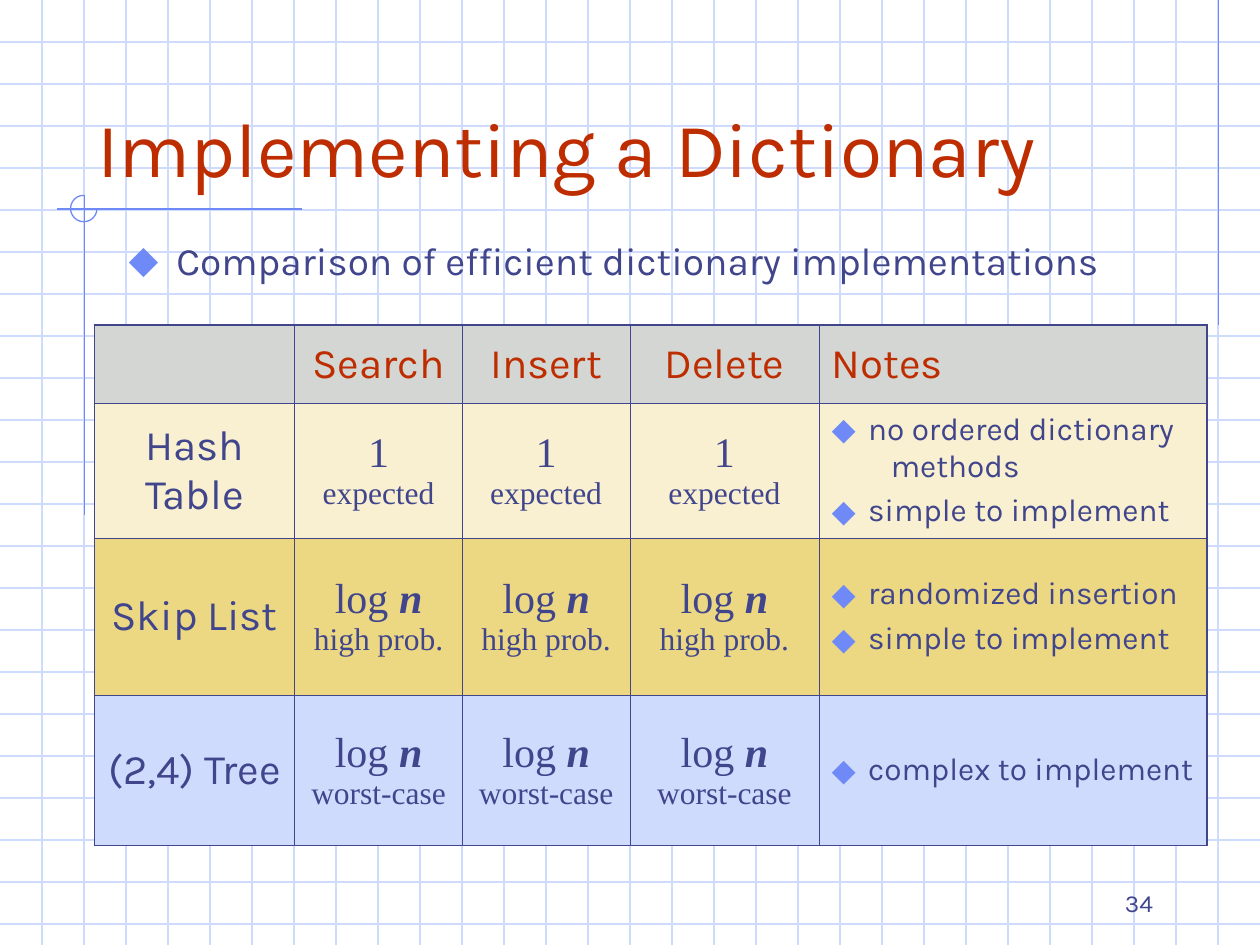
from dataclasses import dataclass

from lxml.etree import SubElement
from pptx import Presentation
from pptx.dml.color import RGBColor
from pptx.enum.shapes import MSO_CONNECTOR, MSO_SHAPE
from pptx.enum.text import MSO_ANCHOR, MSO_AUTO_SIZE, PP_ALIGN
from pptx.oxml.ns import qn
from pptx.util import Inches, Pt


@dataclass(frozen=True)
class Theme:
    sans: str = "Karla"
    serif: str = "Times New Roman"
    bullet: str = "Arial"
    red: str = "BE2D00"
    navy: str = "40458C"
    blue: str = "6F89F7"
    grid: str = "CFDBFD"
    header: str = "D4D6D4"
    title: float = 44
    body: float = 22.2
    cell: float = 24
    note: float = 18
    number: float = 14
    hairline: float = 0.75
    inner: float = 0.45
    outer: float = 1.08


T = Theme()

TITLE = "Implementing a Dictionary"
BODY = "Comparison of efficient dictionary implementations"
NUMBER = "34"
HEADERS = ["", "Search", "Insert", "Delete", "Notes"]
# Each note is a list of its lines; cost is (upright, bold italic, remark).
ROWS = [
    {"name": "Hash Table", "fill": "F8F0D0", "cost": ("1", "", "expected"),
     "notes": [["no ordered dictionary", "methods"], ["simple to implement"]]},
    {"name": "Skip List", "fill": "ECD882", "cost": ("log ", "n", "high prob."),
     "notes": [["randomized insertion"], ["simple to implement"]]},
    {"name": "(2,4) Tree", "fill": "CFDBFD", "cost": ("log ", "n", "worst-case"),
     "notes": [["complex to implement"]]},
]
COL_WIDTHS = [1.59, 1.33, 1.33, 1.5, 3.08]
ROW_HEIGHTS = [0.62, 1.07, 1.25, 1.19]
TABLE_AT = (0.75, 2.58)
WIDTH, HEIGHT = 10, 7.5
GRID_STEP = 1 / 3
# Accent lines: x1, y1, x2, y2
ACCENTS = [(9.67, 0, 9.67, 2.58), (2.4, 1.66, 0.45, 1.66), (0.67, 1.55, 0.67, 4.09)]


def style(run, size, color=T.navy, font=T.sans):
    run.font.size = Pt(size)
    run.font.name = font
    run.font.color.rgb = RGBColor.from_string(color)


def add_line(shapes, ends, color):
    line = shapes.add_connector(MSO_CONNECTOR.STRAIGHT, *map(Inches, ends))
    line.line.color.rgb = RGBColor.from_string(color)
    line.line.width = Pt(T.hairline)
    SubElement(line._element.spPr, qn("a:effectLst"))


def add_bullet(p, indent):
    pPr = p._p.get_or_add_pPr()
    pPr.set("marL", str(Inches(indent)))
    pPr.set("indent", str(-Inches(indent)))
    color = SubElement(pPr, qn("a:buClr"))
    SubElement(color, qn("a:srgbClr"), val=T.blue)
    SubElement(pPr, qn("a:buSzPct"), val="110000")
    SubElement(pPr, qn("a:buFont"), typeface=T.bullet)
    SubElement(pPr, qn("a:buChar"), char="⬥")


def format_cell(cell, fill, widths):
    """Set the fill and the left, right, top and bottom border widths."""
    tcPr = cell._tc.get_or_add_tcPr()
    for side, width in zip("LRTB", widths):
        ln = SubElement(tcPr, qn(f"a:ln{side}"), w=str(Pt(width)))
        SubElement(SubElement(ln, qn("a:solidFill")), qn("a:srgbClr"), val=T.navy)
    cell.fill.solid()
    cell.fill.fore_color.rgb = RGBColor.from_string(fill)
    cell.vertical_anchor = MSO_ANCHOR.MIDDLE


def write_label(cell, text, color, align=PP_ALIGN.CENTER):
    if not text:
        return
    p = cell.text_frame.paragraphs[0]
    p.text = text
    p.alignment = align
    style(p.runs[0], T.cell, color)


def write_cost(cell, cost):
    upright, variable, remark = cost
    p = cell.text_frame.paragraphs[0]
    p.alignment = PP_ALIGN.CENTER
    r = p.add_run()
    r.text = upright
    style(r, T.cell, font=T.serif)
    if variable:
        r = p.add_run()
        r.text = variable
        style(r, T.cell, font=T.serif)
        r.font.bold = r.font.italic = True
    p.add_line_break()
    r = p.add_run()
    r.text = remark
    style(r, T.note, font=T.serif)


def write_notes(cell, notes):
    tf = cell.text_frame
    lines = [(i, text) for note in notes for i, text in enumerate(note)]
    for n, (i, text) in enumerate(lines):
        p = tf.add_paragraph() if n else tf.paragraphs[0]
        p.text = text
        if i == 0:
            add_bullet(p, 0.29)
        else:
            p._p.get_or_add_pPr().set("marL", str(Inches(0.47)))
        p.space_before = Pt(4.5 if n and i == 0 else 0)
        style(p.runs[0], T.note)


def fill_text(sp, box, text, size, color, anchor, align):
    """Place a text shape and return its only paragraph."""
    sp.left, sp.top, sp.width, sp.height = map(Inches, box)
    tf = sp.text_frame
    tf.text = text
    tf.word_wrap = True
    tf.auto_size = MSO_AUTO_SIZE.NONE
    tf.vertical_anchor = anchor
    p = tf.paragraphs[0]
    p.alignment = align
    p.space_before = Pt(0)
    style(p.runs[0], size, color)
    return p


def add_background(shapes):
    for i in range(1, int(HEIGHT / GRID_STEP) + 1):
        add_line(shapes, (0, i * GRID_STEP, WIDTH, i * GRID_STEP), T.grid)
    for i in range(1, round(WIDTH / GRID_STEP)):
        add_line(shapes, (i * GRID_STEP, 0, i * GRID_STEP, HEIGHT), T.grid)
    for ends in ACCENTS:
        add_line(shapes, ends, T.blue)
    arc = shapes.add_shape(MSO_SHAPE.ARC, *map(Inches, (0.56, 1.55, 0.21, 0.21)))
    arc.adjustments[0] = 0
    arc.adjustments[1] = 270 * 0.6  # 270 degrees in the shape's angle unit
    arc.shadow.inherit = False
    arc.fill.background()
    arc.line.color.rgb = RGBColor.from_string(T.blue)
    arc.line.width = Pt(T.hairline)


def add_comparison(shapes):
    n_rows, n_cols = len(ROW_HEIGHTS), len(COL_WIDTHS)
    box = (*TABLE_AT, sum(COL_WIDTHS), sum(ROW_HEIGHTS))
    table = shapes.add_table(n_rows, n_cols, *map(Inches, box)).table
    table.first_row = table.horz_banding = False
    for col, width in zip(table.columns, COL_WIDTHS):
        col.width = Inches(width)
    for row, height in zip(table.rows, ROW_HEIGHTS):
        row.height = Inches(height)
    fills = [T.header] + [row["fill"] for row in ROWS]
    for r in range(n_rows):
        for c in range(n_cols):
            edges = (c == 0, c == n_cols - 1, r == 0, r == n_rows - 1)
            format_cell(table.cell(r, c), fills[r], [T.outer if e else T.inner for e in edges])
    for c, text in enumerate(HEADERS):
        align = PP_ALIGN.LEFT if c == n_cols - 1 else PP_ALIGN.CENTER
        write_label(table.cell(0, c), text, T.red, align)
    for r, row in enumerate(ROWS, 1):
        write_label(table.cell(r, 0), row["name"], T.navy)
        for c in range(1, n_cols - 1):
            write_cost(table.cell(r, c), row["cost"])
        write_notes(table.cell(r, n_cols - 1), row["notes"])


def main():
    prs = Presentation()
    prs.slide_width, prs.slide_height = Inches(WIDTH), Inches(HEIGHT)
    s = prs.slides.add_slide(prs.slide_layouts[1])
    title, body = s.placeholders
    add_background(s.shapes)
    s.shapes._spTree.extend([title._element, body._element])  # in front of the grid
    fill_text(title, (0.67, 0.33, 8.5, 1.25), TITLE, T.title, T.red,
              MSO_ANCHOR.BOTTOM, PP_ALIGN.LEFT)
    p = fill_text(body, (0.92, 1.83, 8.5, 0.67), BODY, T.body, T.navy,
                  MSO_ANCHOR.TOP, PP_ALIGN.LEFT)
    add_bullet(p, 0.38)
    add_comparison(s.shapes)
    number = s.shapes.add_textbox(0, 0, 0, 0)
    fill_text(number, (7.17, 6.83, 2.08, 0.5), NUMBER, T.number, T.navy,
              MSO_ANCHOR.BOTTOM, PP_ALIGN.RIGHT)
    prs.save("out.pptx")


if __name__ == "__main__":
    main()
